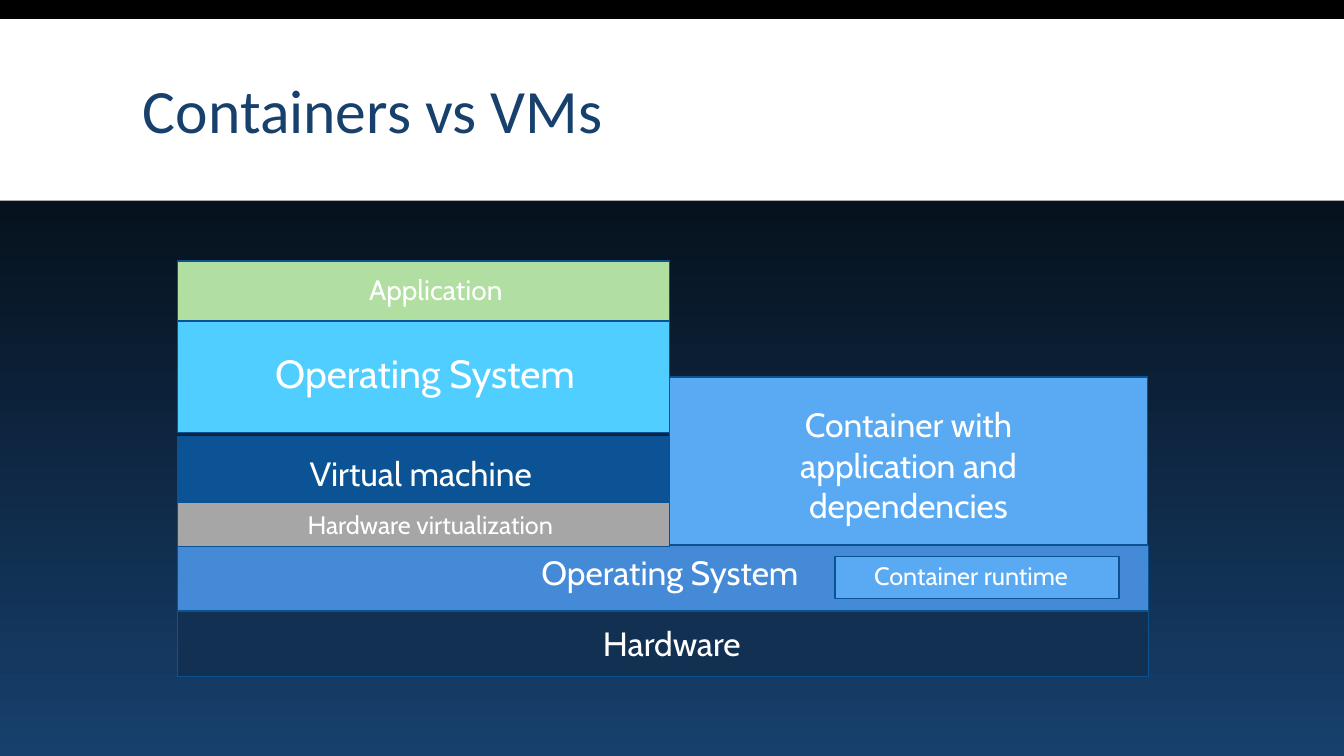
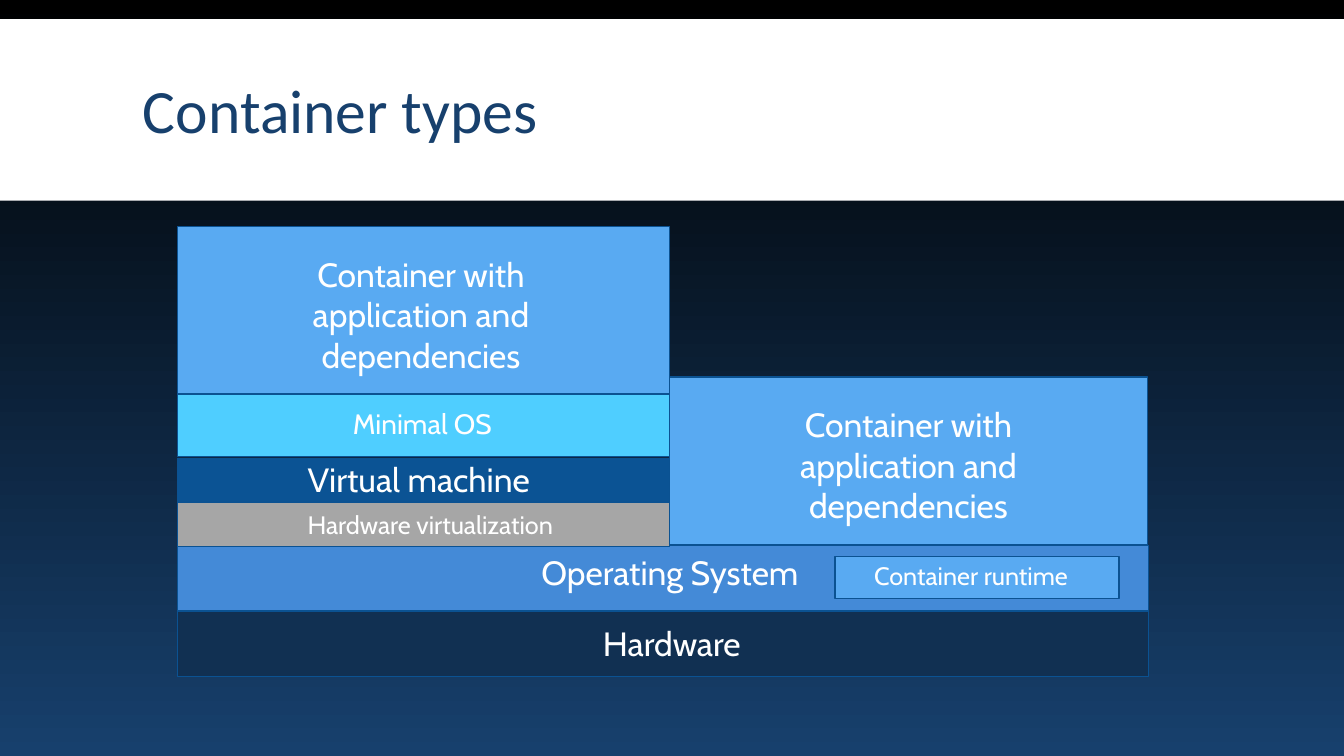
from pptx import Presentation
from pptx.dml.color import RGBColor
from pptx.enum.shapes import MSO_SHAPE
from pptx.enum.text import MSO_ANCHOR, PP_ALIGN
from pptx.util import Inches, Pt

COLORS = {
    "black": "000000", "white": "FFFFFF", "navy": "17406D", "outline": "0B5292",
    "hardware": "113052", "host": "448AD7", "virtualization": "A6A6A6",
    "machine": "0B5394", "guest": "4FCEFF", "application": "B0DFA1",
    "container": "59AAF2",
}

# Columns: left edge and width
COLUMNS = {"full": (1.76, 9.63), "vm": (1.76, 4.88),
           "container": (6.64, 4.74), "runtime": (8.28, 2.82)}

# Text insets: left, top, right (a right inset marks centred text)
CONTAINER_TEXT = "Container with application and dependencies"

# Layers: text, column, top, height, colour, text size, insets
SHARED_LAYERS = [
    ("Hardware", "full", 6.06, 0.65, "hardware", 24, (4.22, 0.12, 0)),
    ("Operating System", "full", 5.41, 0.65, "host", 24, (3.61, 0.07, 0)),
    ("Hardware virtualization", "vm", 4.98, 0.44, "virtualization", 18, (1.29, 0.07, 0)),
    ("Container runtime", "runtime", 5.52, 0.42, "container", 18, (0.39, 0.04, 0)),
    (CONTAINER_TEXT, "container", 3.74, 1.66, "container", 24, (0.83, 0.27, 0.83)),
]
SLIDES = [
    ("Containers vs VMs", [
        ("Virtual machine", "vm", 4.33, 0.65, "machine", 24, (1.31, 0.16, 0)),
        ("Operating System", "vm", 3.19, 1.1, "guest", 28, (0.97, 0.28, 0)),
        ("Application", "vm", 2.59, 0.59, "application", 20, (1.9, 0.11, 0)),
    ]),
    ("Container types", [
        ("Virtual machine", "vm", 4.55, 0.43, "machine", 24, (1.29, 0, 0)),
        ("Minimal OS", "vm", 3.91, 0.62, "guest", 20, (1.74, 0.12, 0)),
        (CONTAINER_TEXT, "vm", 2.25, 1.66, "container", 24, (0.83, 0.27, 0.88)),
    ]),
]


def color(name):
    return RGBColor.from_string(COLORS[name])


def apply(target, formats):
    for attribute, value in formats.items():
        setattr(target, attribute, value)


def write(frame, text, font, size, text_color, **paragraph_format):
    paragraph = frame.paragraphs[0]
    run = paragraph.add_run()
    run.text = text
    apply(paragraph, paragraph_format)
    apply(run.font, {"name": font, "size": Pt(size)})
    run.font.color.rgb = color(text_color)


def add_block(slide, left, top, width, height, fill, outline=None):
    block = slide.shapes.add_shape(MSO_SHAPE.RECTANGLE, *map(Inches, (left, top, width, height)))
    block.shadow.inherit = False
    block.fill.solid()
    block.fill.fore_color.rgb = color(fill)
    if outline:
        block.line.color.rgb = color(outline)
        block.line.width = Pt(1)
    else:
        block.line.fill.background()
    return block


def add_title(slide, title):
    add_block(slide, 0, 0.19, 13.33, 1.8, "white")
    heading = slide.shapes.add_textbox(*map(Inches, (1.32, 0.31, 10.7, 1.65))).text_frame
    apply(heading, {"word_wrap": True, "vertical_anchor": MSO_ANCHOR.MIDDLE})
    write(heading, title, "Calibri", 44, "navy", line_spacing=0.85)


def add_layer(slide, text, column, top, height, fill, size, insets):
    left, width = COLUMNS[column]
    frame = add_block(slide, left, top, width, height, fill, "outline").text_frame
    inset_left, inset_top, inset_right = map(Inches, insets)
    apply(frame, {"word_wrap": True, "vertical_anchor": MSO_ANCHOR.TOP,
                  "margin_left": inset_left, "margin_top": inset_top,
                  "margin_right": inset_right, "margin_bottom": 0})
    alignment = PP_ALIGN.CENTER if inset_right else PP_ALIGN.LEFT
    write(frame, text, "Cabin", size, "white", alignment=alignment)


def main():
    prs = Presentation()
    prs.slide_width, prs.slide_height = Inches(13.33), Inches(7.5)

    # Shared background, dark at the top
    backdrop = prs.slide_master.background.fill
    backdrop.gradient()
    backdrop.gradient_angle = 270
    for stop, name in zip(backdrop.gradient_stops, ("black", "navy")):
        stop.color.rgb = color(name)

    for title, own_layers in SLIDES:
        slide = prs.slides.add_slide(prs.slide_layouts[6])
        add_title(slide, title)
        for layer in SHARED_LAYERS + own_layers:
            add_layer(slide, *layer)
    prs.save("out.pptx")


if __name__ == "__main__":
    main()
